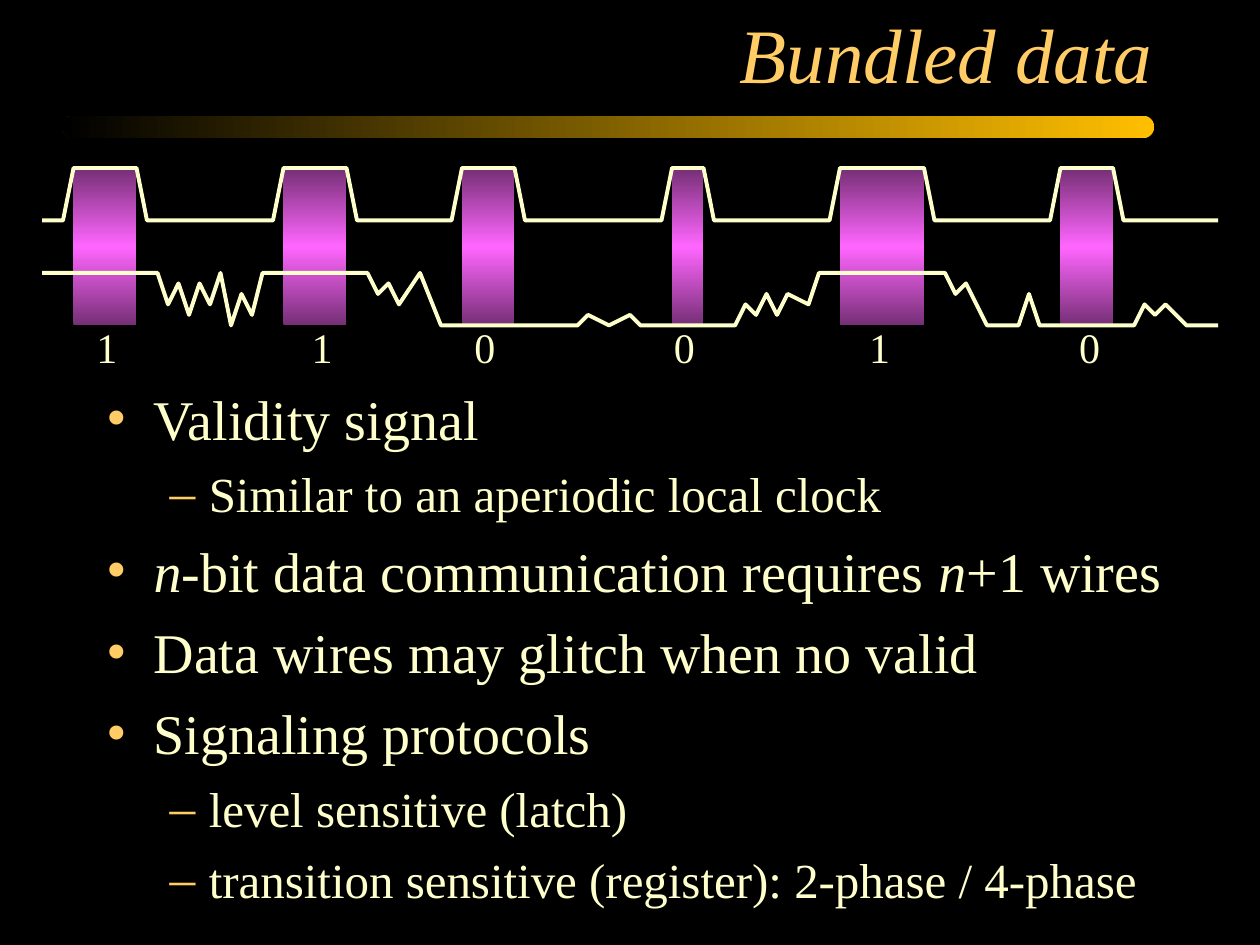
from lxml.etree import SubElement
from pptx import Presentation
from pptx.dml.color import RGBColor
from pptx.enum.shapes import MSO_SHAPE
from pptx.enum.text import MSO_ANCHOR, MSO_AUTO_SIZE, PP_ALIGN
from pptx.oxml.ns import qn
from pptx.util import Cm, Pt

FONT = "Times New Roman"
COLORS = {"back": "000000", "gold": "FFBF00", "title": "FFCC66",
          "text": "FFFFCC", "edge": "752F75", "core": "FF66FF"}

# Content: the timing diagram is on a grid of 1/12 inch
UNIT = 2.54 / 12
START, END = 4, 116
HIGH, LOW, BOTTOM = 16, 21, 31
# Valid windows: left, width, bit value, left of its label
WINDOWS = [(7, 6, "1", 8), (27, 6, "1", 28.5), (44, 5, "0", 44),
           (64, 3, "0", 63), (80, 8, "1", 81.6), (101, 5, "0", 101.6)]
DATA_WIRE = [
    (START, 26), (15, 26), (16, 29), (17, 27), (18, 30), (19, 27), (20, 29),
    (21, 26), (22, 31), (23, 28), (24, 30), (25, 26), (35, 26), (36, 28),
    (37, 27), (38, 29), (40, 26), (42, 31), (55, 31), (56, 30), (58, 31),
    (60, 30), (61, 31), (70, 31), (71, 29), (72, 30), (73, 28), (74, 30),
    (75, 28), (77, 29), (78, 26), (90, 26), (91, 28), (92, 27), (94, 31),
    (97, 31), (98, 28), (99, 31), (108, 31), (109, 29), (110, 30), (111, 29),
    (113, 31), (END, 31)]

# Level and runs; a run is text and italic
POINTS = [
    (0, [("Validity signal", False)]),
    (1, [("Similar to an aperiodic local clock", False)]),
    (0, [("n", True), ("-bit data communication requires ", False),
         ("n", True), ("+1 wires", False)]),
    (0, [("Data wires may glitch when no valid", False)]),
    (0, [("Signaling protocols", False)]),
    (1, [("level sensitive (latch)", False)]),
    (1, [("transition sensitive (register): 2-phase / 4-phase", False)]),
]
LEVELS = [
    {"bullet": "•", "size": 32, "before": 8, "left": 0.95, "hang": 0.95},
    {"bullet": "–", "size": 28, "before": 7, "left": 2.06, "hang": 0.79},
]


def rgb(name):
    return RGBColor.from_string(COLORS[name])


def grid(n):
    return Cm(n * UNIT)


def add_bar(kind, box, stops, angle):
    sp = s.shapes.add_shape(kind, *box)
    sp.shadow.inherit = False
    sp.line.fill.background()
    sp.fill.gradient()
    sp.fill.gradient_angle = angle
    gs_lst = sp._element.spPr.find(qn("a:gradFill")).find(qn("a:gsLst"))
    for gs in list(gs_lst):
        gs_lst.remove(gs)
    for pos, name in stops:
        gs = SubElement(gs_lst, qn("a:gs"), pos=str(pos * 1000))
        SubElement(gs, qn("a:srgbClr"), val=COLORS[name])
    return sp


def add_wire(points):
    fb = s.shapes.build_freeform(*map(grid, points[0]))
    fb.add_line_segments([tuple(map(grid, pt)) for pt in points[1:]], close=False)
    sp = fb.convert_to_shape()
    sp.shadow.inherit = False
    sp.fill.background()
    sp.line.color.rgb = rgb("text")
    sp.line.width = Pt(2.25)


def add_box(box, **settings):
    tf = s.shapes.add_textbox(*box).text_frame
    for key, value in settings.items():
        setattr(tf, key, value)
    return tf


def add_run(p, text, size, color="text", italic=False):
    r = p.add_run()
    r.text = text
    for key, value in {"name": FONT, "size": Pt(size), "italic": italic}.items():
        setattr(r.font, key, value)
    r.font.color.rgb = rgb(color)


def add_bullet(p, level):
    pPr = p._p.get_or_add_pPr()
    pPr.set("marL", str(Cm(level["left"])))
    pPr.set("indent", str(-Cm(level["hang"])))
    color = SubElement(pPr, qn("a:buClr"))
    SubElement(color, qn("a:srgbClr"), val=COLORS["title"])
    SubElement(pPr, qn("a:buSzPct"), val="105000")
    SubElement(pPr, qn("a:buFont"), typeface=FONT)
    SubElement(pPr, qn("a:buChar"), char=level["bullet"])


prs = Presentation()
prs.slide_width, prs.slide_height = Cm(25.4), Cm(19.05)
s = prs.slides.add_slide(prs.slide_layouts[6])
s.background.fill.solid()
s.background.fill.fore_color.rgb = rgb("back")

# Title and its rule
rule = add_bar(MSO_SHAPE.ROUNDED_RECTANGLE, (Cm(1.27), Cm(2.33), Cm(22), Cm(0.46)),
               [(0, "gold"), (100, "back")], 180)
rule.adjustments[0] = 0.5
tf = add_box((Cm(1.9), Cm(0.21), Cm(21.59), Cm(1.9)),
             word_wrap=True, vertical_anchor=MSO_ANCHOR.BOTTOM)
tf.paragraphs[0].alignment = PP_ALIGN.RIGHT
add_run(tf.paragraphs[0], "Bundled data", 44, "title", True)

# Valid windows with their bits, and the validity wire around them
validity_wire = [(START, LOW)]
for left, width, bit, label_left in WINDOWS:
    add_bar(MSO_SHAPE.RECTANGLE, map(grid, (left, HIGH, width, BOTTOM - HIGH)),
            [(0, "edge"), (50, "core"), (100, "edge")], 90)
    tf = add_box((grid(label_left), grid(30), Cm(0.91), Cm(1.27)),
                 word_wrap=False, auto_size=MSO_AUTO_SIZE.SHAPE_TO_FIT_TEXT)
    add_run(tf.paragraphs[0], bit, 24)
    right = left + width
    validity_wire += [(left - 1, LOW), (left, HIGH), (right, HIGH), (right + 1, LOW)]
add_wire(DATA_WIRE)
add_wire(validity_wire + [(END, LOW)])

# Bullet points
tf = add_box((Cm(1.9), Cm(7.62), Cm(22.02), Cm(10.8)), word_wrap=True)
for i, (depth, runs) in enumerate(POINTS):
    p = tf.add_paragraph() if i else tf.paragraphs[0]
    level = LEVELS[depth]
    p.level = depth
    add_bullet(p, level)
    if i:
        p.space_before = Pt(level["before"])
    for text, italic in runs:
        add_run(p, text, level["size"], italic=italic)

prs.save("out.pptx")
